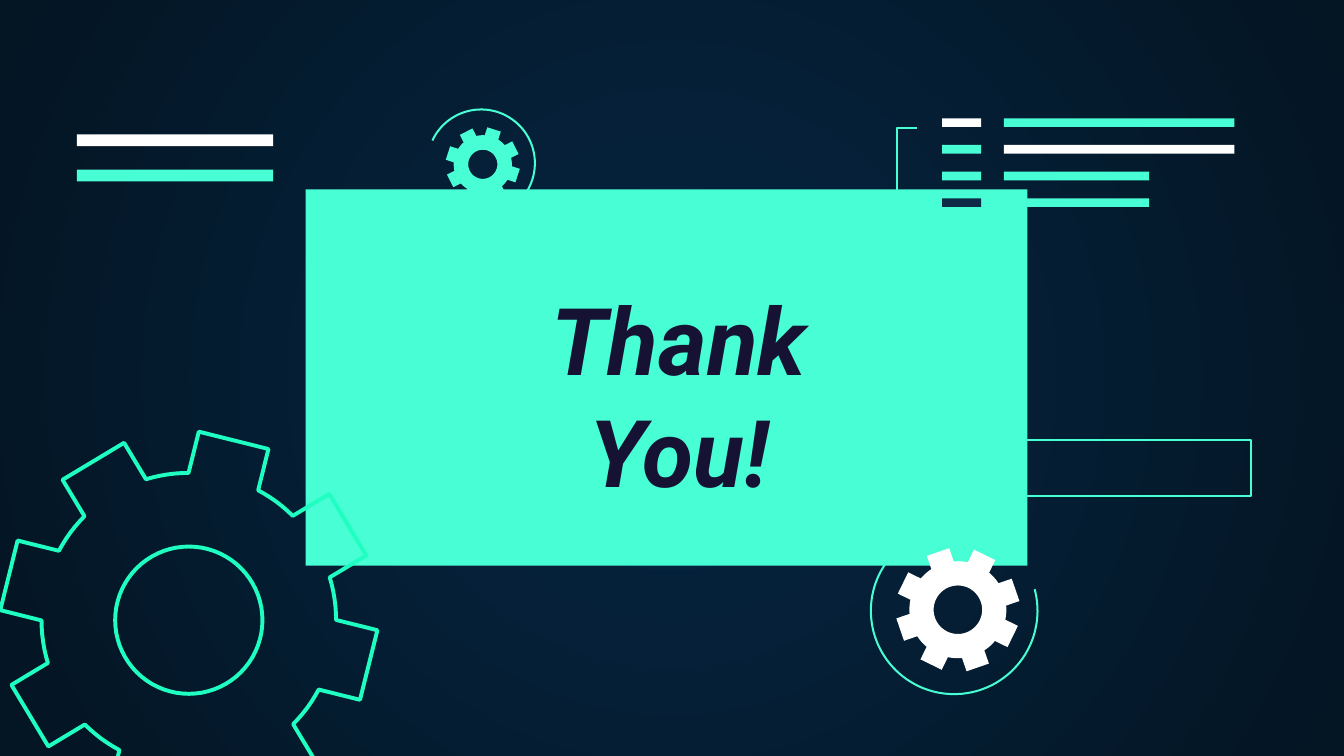
from collections import namedtuple
from math import asin, cos, degrees, radians, sin

from pptx import Presentation
from pptx.dml.color import RGBColor
from pptx.enum.shapes import MSO_SHAPE
from pptx.enum.text import MSO_ANCHOR, PP_ALIGN
from pptx.oxml import parse_xml
from pptx.oxml.ns import nsdecls
from pptx.util import Inches, Pt

# The slide is a grid of 100 columns and 56.25 rows
COLUMNS, ROWS = 100, 56.25
CELL = Inches(0.1)

MINT, GREEN, WHITE = "48FFD5", "1EFFC1", "FFFFFF"
NAVY, INK = "0E2A47", "161234"
GLOW, EDGE = "052643", "041523"
THIN, THICK = 1.09, 2.1

Box = namedtuple("Box", "left top width height")


def color(value):
    return RGBColor.from_string(value)


def grid(value):
    return round(value * CELL)


def style(shape, fill=None, line=None, weight=THIN):
    shape.shadow.inherit = False
    if fill:
        shape.fill.solid()
        shape.fill.fore_color.rgb = color(fill)
    else:
        shape.fill.background()
    if line:
        shape.line.color.rgb = color(line)
        shape.line.width = Pt(weight)
    else:
        shape.line.fill.background()


def add_rectangle(slide, box, **look):
    shape = slide.shapes.add_shape(MSO_SHAPE.RECTANGLE, *map(grid, box))
    style(shape, **look)


def add_outline(slide, contours, close=True, **look):
    """Draw one freeform made of one or more contours of grid points."""
    contours = [[(grid(x), grid(y)) for x, y in points] for points in contours]
    builder = slide.shapes.build_freeform(*contours[0][0])
    for index, points in enumerate(contours):
        if index:
            builder.move_to(*points[0])
        builder.add_line_segments(points[1:], close=close)
    style(builder.convert_to_shape(), **look)


def add_text(slide, box, lines, *, font, size, fill, bold=False, italic=False,
             spacing=None, align=PP_ALIGN.CENTER):
    frame = slide.shapes.add_textbox(*map(grid, box)).text_frame
    frame.word_wrap = True
    frame.vertical_anchor = MSO_ANCHOR.TOP
    frame.margin_left = frame.margin_right = grid(1)
    frame.margin_top = frame.margin_bottom = grid(1)
    for index, line in enumerate(lines):
        paragraph = frame.add_paragraph() if index else frame.paragraphs[0]
        paragraph.alignment = align
        if spacing:
            paragraph.line_spacing = Pt(spacing)
        run = paragraph.add_run()
        run.text = line
        run.font.name, run.font.size = font, Pt(size)
        run.font.bold, run.font.italic = bold, italic
        run.font.color.rgb = color(fill)


def arc_points(center, radius, start, sweep, steps):
    """Points along an arc; angles in degrees, clockwise from the right."""
    angles = [radians(start + sweep * step / steps) for step in range(steps + 1)]
    return [(center[0] + radius * cos(angle), center[1] + radius * sin(angle))
            for angle in angles]


def add_gear(slide, box, phase, teeth=8, **look):
    """Fill a box with a gear whose first tooth points at the phase angle."""
    radius = box.width / 2
    center = (box.left + radius, box.top + radius)
    root, hole, half_tooth = 0.78, 0.39, 0.19  # shares of the radius
    tip_angle = degrees(asin(half_tooth))
    base_angle = degrees(asin(half_tooth / root))
    pitch = 360 / teeth
    rim = []
    for tooth in range(teeth):
        angle = phase + tooth * pitch
        rim += arc_points(center, radius, angle - tip_angle, 2 * tip_angle, 1)
        rim += arc_points(center, radius * root, angle + base_angle,
                          pitch - 2 * base_angle, 6)
    add_outline(slide, [rim, arc_points(center, radius * hole, 0, -360, 72)], **look)


def add_orbit(slide, box, start, sweep=249):
    """Draw an open ring inside a box."""
    radius = box.width / 2
    center = (box.left + radius, box.top + radius)
    add_outline(slide, [arc_points(center, radius, start, sweep, 80)],
                close=False, line=MINT)


def add_background(slide):
    fill = slide.background.fill
    fill.gradient()
    for stop, value, position in zip(fill.gradient_stops, (GLOW, EDGE), (0, 1)):
        stop.color.rgb = color(value)
        stop.position = position
    # Radial gradient from the middle of the slide
    radial = parse_xml(
        f'<a:path {nsdecls("a")} path="circle">'
        '<a:fillToRect l="50000" t="50000" r="50000" b="50000"/></a:path>')
    linear = slide.element.xpath(".//a:lin")[0]
    linear.getparent().replace(linear, radial)


def add_bars(slide, box, bars, thickness):
    """Spread rows of bars evenly; each bar is (offset, width, color)."""
    step = (box.height - thickness) / (len(bars) - 1)
    for row, parts in enumerate(bars):
        for offset, width, fill in parts:
            add_rectangle(slide, Box(box.left + offset, box.top + row * step,
                                     width, thickness), fill=fill)


def add_code_lines(slide, box):
    """Bracket, then four rows with a short label and a longer line."""
    middle, bottom = box.top + 0.7, box.top + box.height + 0.2
    add_outline(slide, [[(box.left + 1.55, bottom), (box.left, bottom),
                         (box.left, middle), (box.left + 1.5, middle)]],
                close=False, line=MINT)
    label, line = 3.36, 7.96
    rows = [(WHITE, 17.15, MINT), (MINT, 17.15, WHITE),
            (MINT, 10.8, MINT), (NAVY, 10.8, MINT)]
    add_bars(slide, box, [[(label, 2.9, tag), (line, width, fill)]
                          for tag, width, fill in rows], 0.65)


def add_title_panel(slide, box):
    add_text(slide, Box(box.left + 8.9, box.top + 5.9, 37.8, 19), ["Thank", "You!"],
             font="Roboto", size=50, fill=INK, bold=True, italic=True, spacing=60)


def add_closing_slide(presentation):
    slide = presentation.slides.add_slide(presentation.slide_layouts[6])
    panel = Box(22.74, 14.1, 53.7, 28)
    add_background(slide)
    add_rectangle(slide, panel, fill=MINT)

    # Rings and gears
    add_orbit(slide, Box(31.8, 8.15, 8, 8), start=205)
    add_orbit(slide, Box(64.8, 39.25, 12.4, 12.4), start=-15)
    add_gear(slide, Box(0, 32.1, 28.1, 28.1), phase=14, line=GREEN, weight=THICK)
    add_gear(slide, Box(66.65, 40.75, 9.25, 9.25), phase=26, fill=WHITE)
    add_gear(slide, Box(33.15, 9.45, 5.55, 5.55), phase=18, fill=MINT)

    # Bars, bracket and side frame
    add_code_lines(slide, Box(66.74, 8.8, 25.1, 6.6))
    add_bars(slide, Box(5.73, 10, 14.6, 3.5),
             [[(0, 14.6, WHITE)], [(0, 14.6, MINT)]], 0.87)
    add_rectangle(slide, Box(72, 32.75, 21.1, 4.15), line=MINT)

    add_title_panel(slide, panel)


def main():
    presentation = Presentation()
    presentation.slide_width = grid(COLUMNS)
    presentation.slide_height = grid(ROWS)
    add_closing_slide(presentation)
    presentation.save("out.pptx")


if __name__ == "__main__":
    main()
